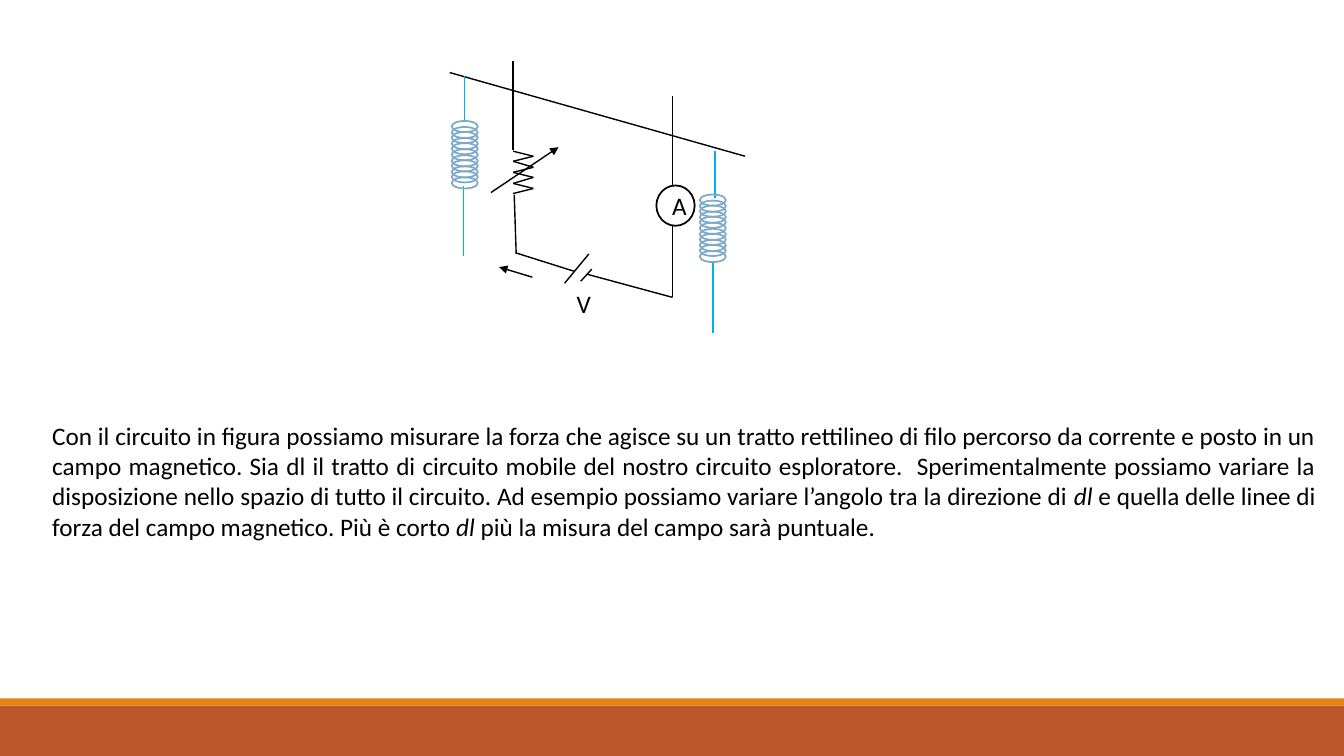
from dataclasses import dataclass
from itertools import pairwise

from lxml.etree import SubElement
from pptx import Presentation
from pptx.dml.color import RGBColor
from pptx.enum.shapes import MSO_CONNECTOR, MSO_SHAPE
from pptx.enum.text import MSO_ANCHOR, PP_ALIGN
from pptx.oxml.ns import qn
from pptx.util import Emu, Pt


@dataclass(frozen=True)
class Theme:
    """Colours, font and sizes of the slide."""
    ink: str = "000000"
    paper: str = "FFFFFF"
    spring_wire: str = "00B0F0"
    coil: str = "7EA9CA"
    footer: str = "BD582C"
    footer_edge: str = "E48312"
    font: str = "Calibri"
    text_size: int = 18
    wire_width: float = 1
    outline_width: float = 1.25


THEME = Theme()
EMU_PER_PX = 9144
SLIDE_WIDTH, SLIDE_HEIGHT = 1333, 750
TEXT_FORMAT = {"name": THEME.font, "size": Pt(THEME.text_size)}

WIRES = [
    (446, 72, 739, 155),
    (667, 95, 667, 295),
    (509, 149, 509, 61),
    (512, 252, 510, 193),
    (512, 251, 569, 269),
    (582, 272, 667, 295),
]
BATTERY_PLATES = [(560, 281, 584, 252), (576, 279, 587, 267)]
ARROWS = [(487, 191, 554, 146), (528, 275, 495, 265)]
SPRING_WIRES = [
    (461, 75, 461, 121),
    (460, 185, 460, 254),
    (709, 150, 709, 196),
    (707, 261, 707, 330),
]
COILS = [(448, 120), (694, 193)]
COIL_TURNS, COIL_SPAN = 11, 56
RESISTOR_LEFT, RESISTOR_RIGHT, RESISTOR_TOP = 509, 529, 150
RESISTOR_FOLDS, RESISTOR_HEIGHT = 8, 42

EXPLANATION = [
    ("Con il circuito in figura possiamo misurare la forza che agisce su un "
     "tratto rettilineo di filo percorso da corrente e posto in un campo "
     "magnetico. Sia dl il tratto di circuito mobile del nostro circuito "
     "esploratore.  Sperimentalmente possiamo variare la disposizione nello "
     "spazio di tutto il circuito. Ad esempio possiamo variare l’angolo tra "
     "la direzione di ", False),
    ("dl", True),
    (" e quella delle linee di forza del campo magnetico. Più è corto ", False),
    ("dl", True),
    (" più la misura del campo sarà puntuale.", False),
]


def px(*lengths):
    """Turn pixel lengths into EMU."""
    return [Emu(length * EMU_PER_PX) for length in lengths]


def apply_format(target, values):
    """Set every attribute named in values on the target."""
    for name, value in values.items():
        setattr(target, name, value)


def add_wire(shapes, ends, color=THEME.ink, arrow=False):
    """Draw a straight wire, with an arrowhead at its end if asked."""
    wire = shapes.add_connector(MSO_CONNECTOR.STRAIGHT, *px(*ends))
    wire.line.color.rgb = RGBColor.from_string(color)
    wire.line.width = Pt(THEME.wire_width)
    if arrow:
        SubElement(wire.line._get_or_add_ln(), qn("a:tailEnd"), type="triangle")
    SubElement(wire._element.spPr, qn("a:effectLst"))


def add_figure(shapes, preset, bounds, fill=None, outline=None):
    """Draw a flat preset shape with optional fill and outline."""
    figure = shapes.add_shape(preset, *px(*bounds))
    figure.shadow.inherit = False
    if fill:
        figure.fill.solid()
        figure.fill.fore_color.rgb = RGBColor.from_string(fill)
    else:
        figure.fill.background()
    if outline:
        figure.line.color.rgb = RGBColor.from_string(outline)
        figure.line.width = Pt(THEME.outline_width)
    else:
        figure.line.fill.background()
    return figure


def write_text(frame, runs, alignment, frame_format):
    """Write runs of (text, italic) into one paragraph."""
    apply_format(frame, frame_format)
    paragraph = frame.paragraphs[0]
    paragraph.alignment = alignment
    for text, italic in runs:
        run = paragraph.add_run()
        run.text = text
        apply_format(run.font, TEXT_FORMAT | {"italic": italic})
        run.font.color.rgb = RGBColor.from_string(THEME.ink)


def add_coil(shapes, left, top):
    """Stack the overlapping turns of a spring."""
    for turn in range(COIL_TURNS):
        offset = round(turn * COIL_SPAN / (COIL_TURNS - 1))
        add_figure(shapes, MSO_SHAPE.OVAL, (left, top + offset, 26, 11),
                   outline=THEME.coil)


def add_resistor(shapes):
    """Draw the zigzag of the variable resistor."""
    corners = [
        (RESISTOR_RIGHT if fold % 2 else RESISTOR_LEFT,
         RESISTOR_TOP + round(fold * RESISTOR_HEIGHT / RESISTOR_FOLDS))
        for fold in range(RESISTOR_FOLDS + 1)
    ]
    for start, end in pairwise(corners):
        add_wire(shapes, start + end)


def add_ammeter(shapes):
    """Draw the ammeter with its letter."""
    ammeter = add_figure(shapes, MSO_SHAPE.OVAL, (651, 184, 38, 40),
                         THEME.paper, THEME.ink)
    margin_left, no_margin = px(8, 0)
    write_text(ammeter.text_frame, [("A", False)], PP_ALIGN.CENTER, {
        "margin_left": margin_left, "margin_right": no_margin,
        "margin_top": no_margin, "margin_bottom": no_margin,
        "vertical_anchor": MSO_ANCHOR.MIDDLE, "word_wrap": False,
    })


def add_circuit(shapes):
    """Draw the circuit hanging from its two springs."""
    for ends in WIRES + BATTERY_PLATES:
        add_wire(shapes, ends)
    for ends in SPRING_WIRES:
        add_wire(shapes, ends, THEME.spring_wire)
    for ends in ARROWS:
        add_wire(shapes, ends, arrow=True)
    add_resistor(shapes)
    add_ammeter(shapes)
    for left, top in COILS:
        add_coil(shapes, left, top)
    voltage = shapes.add_textbox(*px(562, 281, 31, 36))
    write_text(voltage.text_frame, [("V", False)], PP_ALIGN.LEFT,
               {"word_wrap": False})


def main():
    """Build and save the slide."""
    presentation = Presentation()
    slide_width, slide_height = px(SLIDE_WIDTH, SLIDE_HEIGHT)
    apply_format(presentation,
                 {"slide_width": slide_width, "slide_height": slide_height})
    shapes = presentation.slides.add_slide(presentation.slide_layouts[6]).shapes
    add_figure(shapes, MSO_SHAPE.RECTANGLE, (0, 700, SLIDE_WIDTH, 50),
               THEME.footer)
    add_figure(shapes, MSO_SHAPE.RECTANGLE, (0, 693, SLIDE_WIDTH, 7),
               THEME.footer_edge)
    add_circuit(shapes.add_group_shape().shapes)
    explanation = shapes.add_textbox(*px(42, 412, 1273, 131))
    write_text(explanation.text_frame, EXPLANATION, PP_ALIGN.JUSTIFY,
               {"word_wrap": True})
    presentation.save("out.pptx")


if __name__ == "__main__":
    main()
